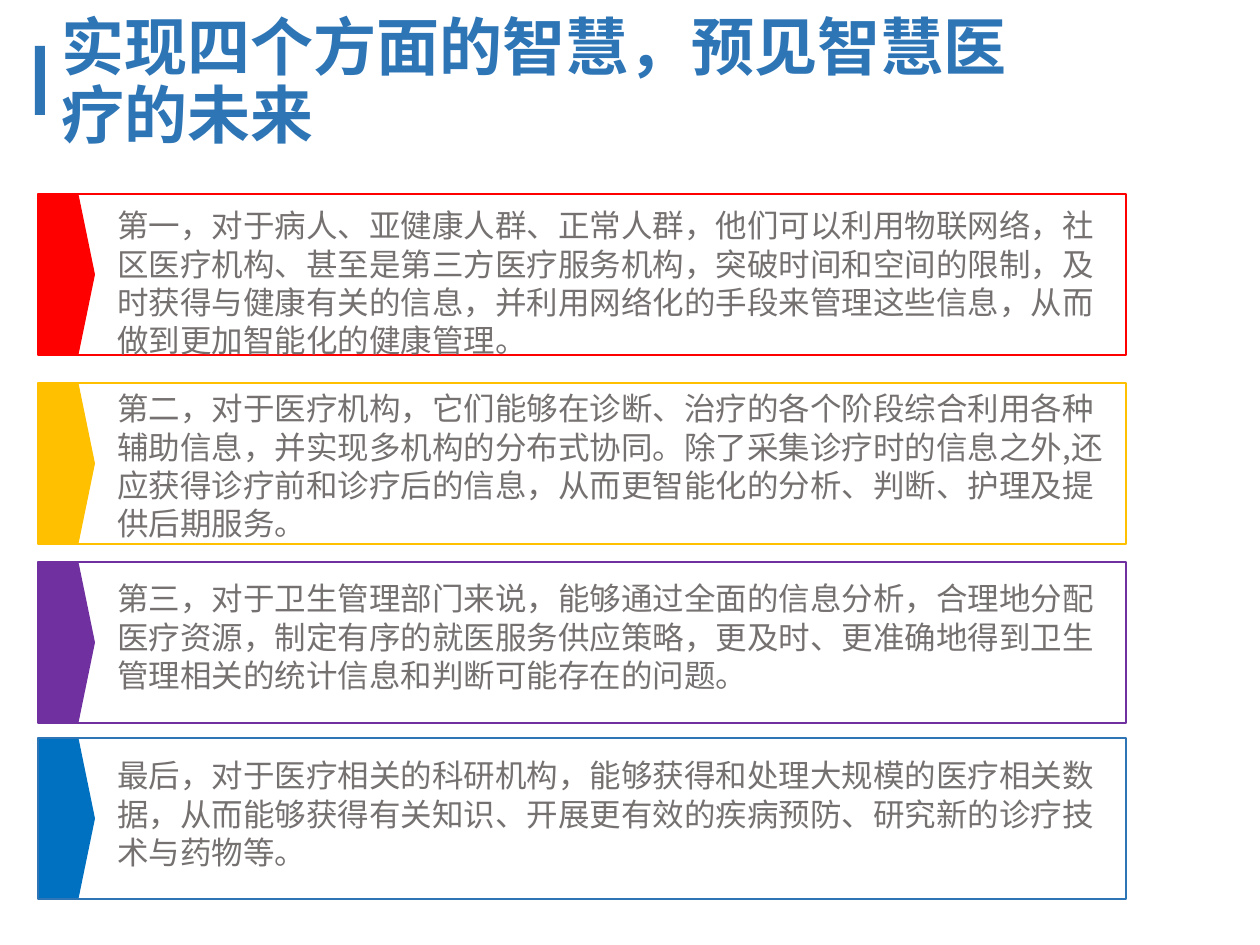
from dataclasses import dataclass

from lxml.etree import SubElement
from pptx import Presentation
from pptx.dml.color import RGBColor
from pptx.enum.shapes import MSO_SHAPE
from pptx.enum.text import MSO_ANCHOR, PP_ALIGN
from pptx.oxml.ns import qn
from pptx.shapes.autoshape import Shape
from pptx.slide import Slide
from pptx.util import Emu, Pt

PX_PER_INCH = 126
FONT = "Noto Sans CJK SC"
BLUE = "2E75B6"
GREY = "767171"
PANEL_LEFT, PANEL_WIDTH, PANEL_HEIGHT = 38, 1088, 161
ARROW_WIDTH = 57
TEXT_LEFT = 105
LINE_PITCH = 1.21


@dataclass
class Box:
    left: int
    top: int
    width: int
    height: int


@dataclass
class Panel:
    top: int
    text_top: int
    text_width: int
    text_height: int
    fill: str
    border: str
    text: str


PANELS = [
    Panel(194, 200, 1003, 165, "FF0000", "FF0000",
          "第一，对于病人、亚健康人群、正常人群，他们可以利用物联网络，社区医疗机构、"
          "甚至是第三方医疗服务机构，突破时间和空间的限制，及时获得与健康有关的信息，"
          "并利用网络化的手段来管理这些信息，从而做到更加智能化的健康管理。"),
    Panel(383, 383, 1012, 165, "FFC000", "FFC000",
          "第二，对于医疗机构，它们能够在诊断、治疗的各个阶段综合利用各种辅助信息，"
          "并实现多机构的分布式协同。除了采集诊疗时的信息之外,还应获得诊疗前和诊疗后的信息，"
          "从而更智能化的分析、判断、护理及提供后期服务。"),
    Panel(562, 573, 1012, 127, "7030A0", "7030A0",
          "第三，对于卫生管理部门来说，能够通过全面的信息分析，合理地分配医疗资源，"
          "制定有序的就医服务供应策略，更及时、更准确地得到卫生管理相关的统计信息"
          "和判断可能存在的问题。"),
    Panel(738, 750, 1012, 127, "0070C0", BLUE,
          "最后，对于医疗相关的科研机构，能够获得和处理大规模的医疗相关数据，"
          "从而能够获得有关知识、开展更有效的疾病预防、研究新的诊疗技术与药物等。"),
]


def px(length: int) -> Emu:
    return Emu(round(length * 914400 / PX_PER_INCH))


def color(value: str) -> RGBColor:
    return RGBColor.from_string(value)


def place(box: Box) -> tuple[Emu, Emu, Emu, Emu]:
    return px(box.left), px(box.top), px(box.width), px(box.height)


def add_filled(slide: Slide, kind: MSO_SHAPE, box: Box, fill: str) -> Shape:
    shape = slide.shapes.add_shape(kind, *place(box))
    shape.shadow.inherit = False
    shape.fill.solid()
    shape.fill.fore_color.rgb = color(fill)
    shape.line.fill.background()
    return shape


def add_frame(slide: Slide, box: Box, border: str) -> None:
    shape = slide.shapes.add_shape(MSO_SHAPE.RECTANGLE, *place(box))
    shape.shadow.inherit = False
    shape.fill.background()
    shape.line.color.rgb = color(border)
    shape.line.width = Pt(1.5)


def add_text(slide: Slide, box: Box, text: str, size: int, text_color: str,
             pitch: float = LINE_PITCH, bold: bool = False,
             anchor: MSO_ANCHOR = MSO_ANCHOR.TOP) -> None:
    text_frame = slide.shapes.add_textbox(*place(box)).text_frame
    text_frame.word_wrap = True
    text_frame.vertical_anchor = anchor
    text_frame.text = text
    paragraph = text_frame.paragraphs[0]
    paragraph.alignment = PP_ALIGN.LEFT
    paragraph.line_spacing = Pt(size * pitch)
    for run in paragraph.runs:
        run.font.size = Pt(size)
        run.font.bold = bold
        run.font.color.rgb = color(text_color)
        run.font.name = FONT
        SubElement(run.font._element, qn("a:ea")).set("typeface", FONT)


def add_panel(slide: Slide, panel: Panel) -> None:
    arrow = add_filled(slide, MSO_SHAPE.PENTAGON,
                       Box(PANEL_LEFT, panel.top, ARROW_WIDTH, PANEL_HEIGHT), panel.fill)
    arrow.adjustments[0] = 0.29
    add_frame(slide, Box(PANEL_LEFT, panel.top, PANEL_WIDTH, PANEL_HEIGHT), panel.border)
    add_text(slide, Box(TEXT_LEFT, panel.text_top, panel.text_width, panel.text_height),
             panel.text, 18, GREY)


def main() -> None:
    presentation = Presentation()
    presentation.slide_width = px(1260)
    presentation.slide_height = px(945)
    slide = presentation.slides.add_slide(presentation.slide_layouts[6])
    add_filled(slide, MSO_SHAPE.RECTANGLE, Box(35, 46, 10, 69), BLUE)
    add_text(slide, Box(49, 38, 998, 90), "实现四个方面的智慧，预见智慧医疗的未来",
             36, BLUE, pitch=1.08, bold=True, anchor=MSO_ANCHOR.MIDDLE)
    for panel in PANELS:
        add_panel(slide, panel)
    presentation.save("out.pptx")


if __name__ == "__main__":
    main()
